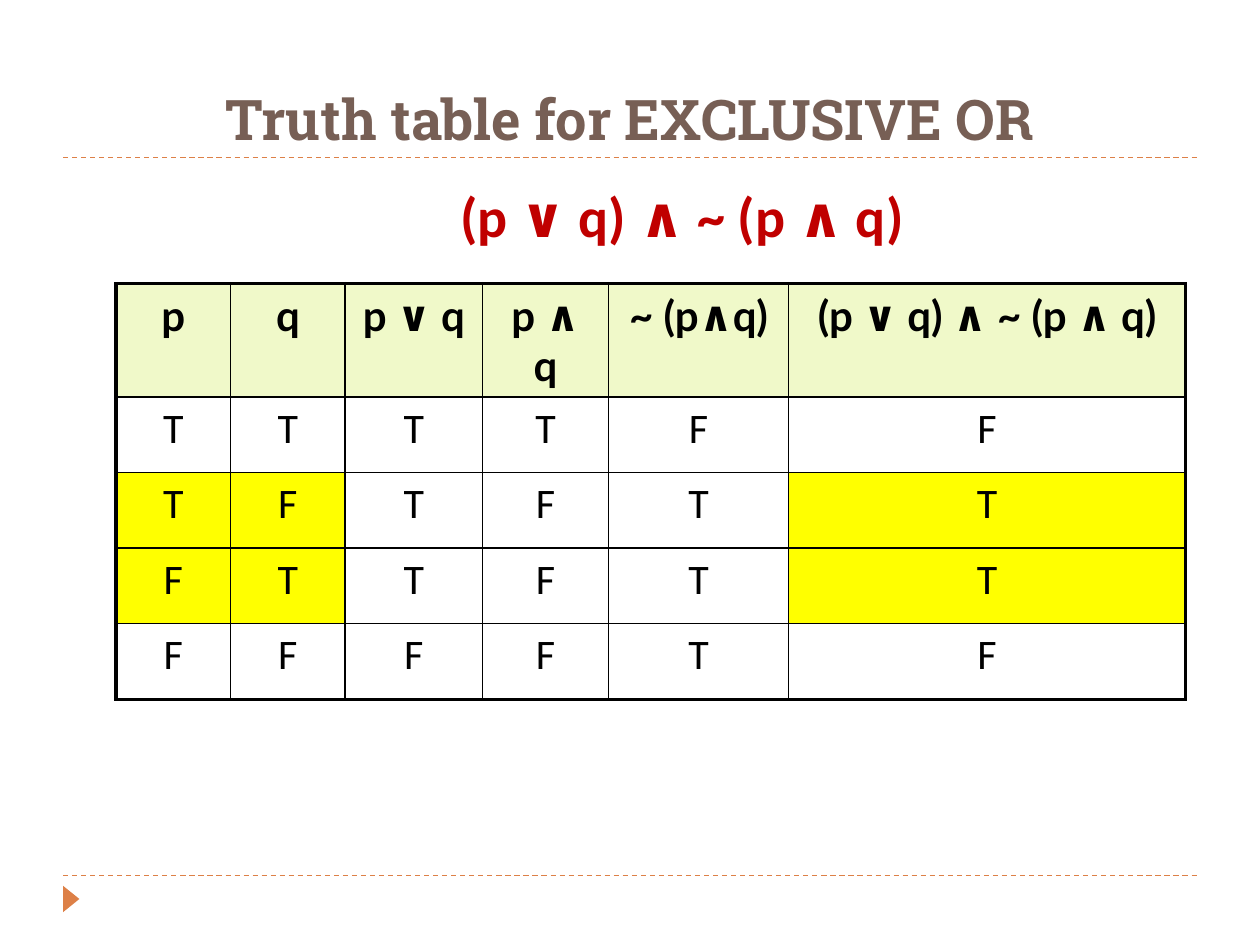
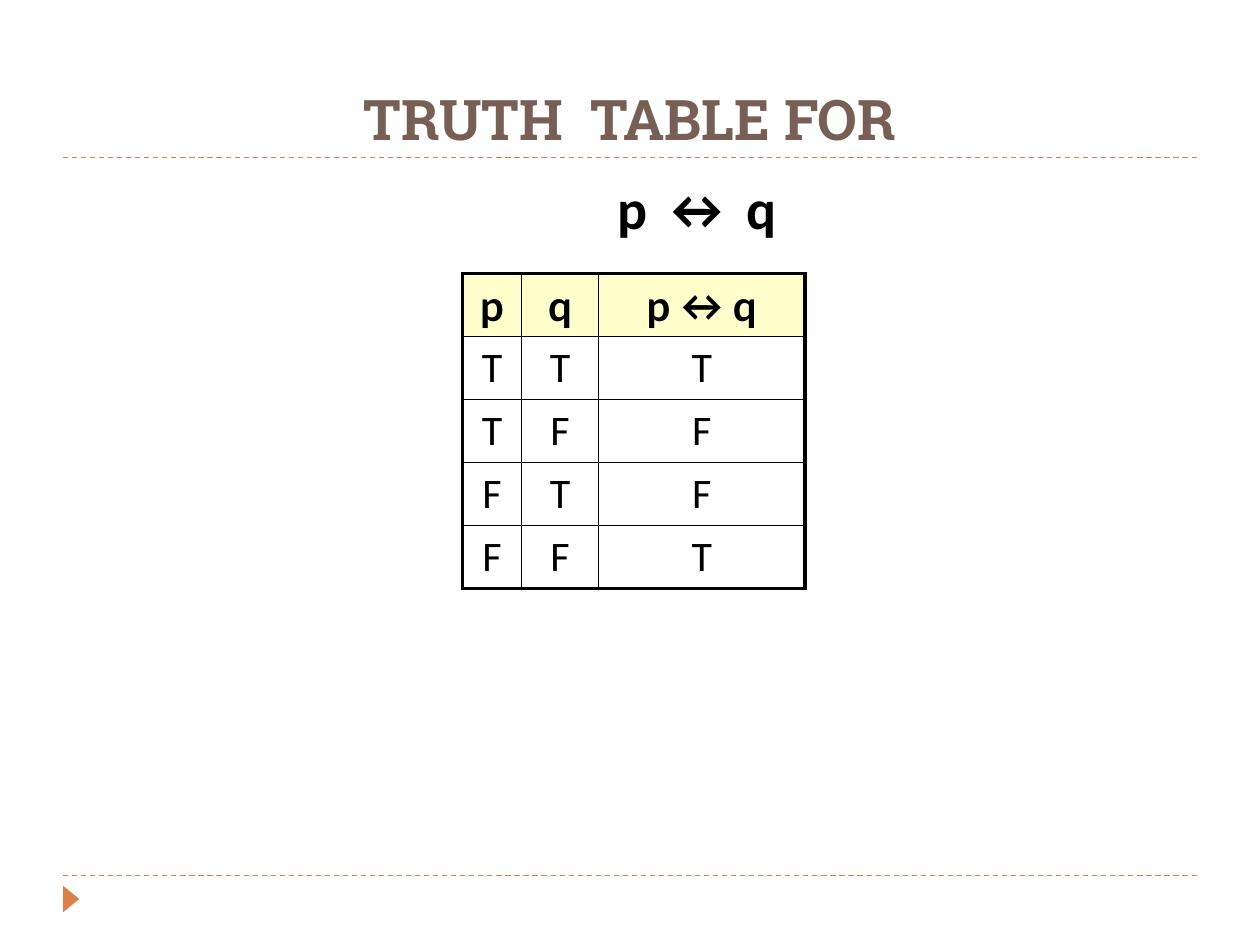
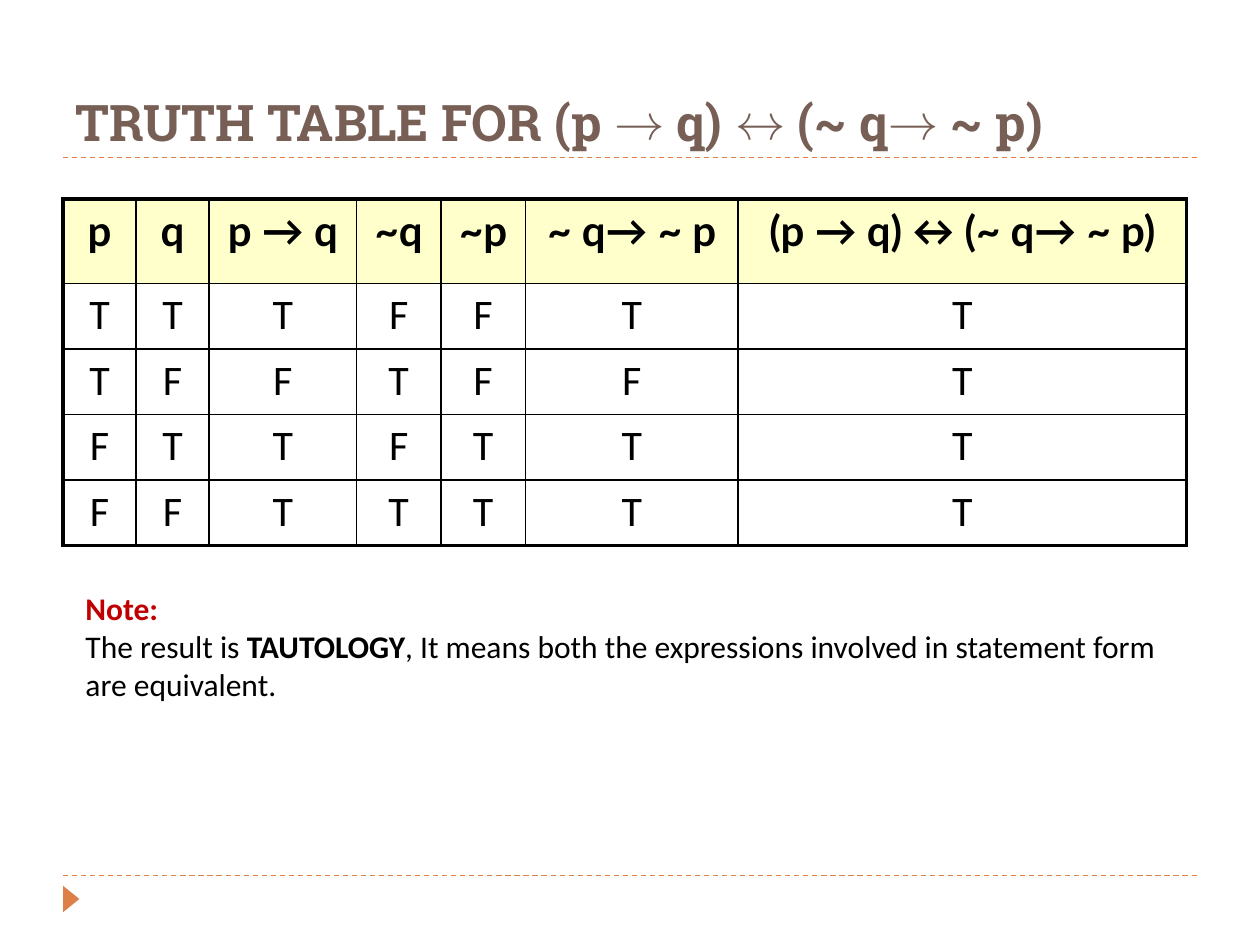
from lxml import etree
from pptx import Presentation
from pptx.dml.color import RGBColor
from pptx.enum.dml import MSO_LINE
from pptx.enum.shapes import MSO_CONNECTOR, MSO_SHAPE
from pptx.enum.text import MSO_ANCHOR, PP_ALIGN
from pptx.oxml.ns import qn
from pptx.util import Inches, Pt

LEFT, CENTER = PP_ALIGN.LEFT, PP_ALIGN.CENTER
TOP, MIDDLE, BOTTOM = MSO_ANCHOR.TOP, MSO_ANCHOR.MIDDLE, MSO_ANCHOR.BOTTOM
DASH = MSO_LINE.DASH
STRAIGHT = MSO_CONNECTOR.STRAIGHT
TRIANGLE = MSO_SHAPE.ISOSCELES_TRIANGLE

ORANGE, BROWN, RED, BLACK = "DD8047", "775F55", "C00000", "000000"
LIME, CREAM, YELLOW = "F0F9C9", "FFFFCC", "FFFF00"
THIN, THICK = 1, 2.25

TITLE = {"name": "Roboto Slab", "size": Pt(32), "bold": True, "color": BROWN}
FORMULA = {"name": "Calibri", "size": Pt(32), "bold": True, "color": BLACK}
HEADER = {"name": "Lato", "size": Pt(24), "bold": True, "color": BLACK}
VALUE = {"name": "Calibri", "size": Pt(24), "bold": False, "color": BLACK}
NOTE = {"name": "Calibri", "size": Pt(18), "bold": False, "color": BLACK}


def rgb(value):
    return RGBColor.from_string(value)


def add_span(para, text, style):
    span = para.add_run()
    span.text = text
    for name, value in style.items():
        if name == "color":
            span.font.color.rgb = rgb(value)
        else:
            setattr(span.font, name, value)


def add_text(page, place, paragraphs, align=LEFT, anchor=TOP):
    """Add a text box; each paragraph is a list of (text, style) spans."""
    box = page.shapes.add_textbox(*map(Inches, place))
    frame = box.text_frame
    frame.word_wrap = True
    frame.vertical_anchor = anchor
    for index, spans in enumerate(paragraphs):
        para = frame.add_paragraph() if index else frame.paragraphs[0]
        para.alignment = align
        for text, style in spans:
            add_span(para, text, style)
    return box


def add_dashed_line(page, y):
    line = page.shapes.add_connector(
        STRAIGHT, Inches(0.5), Inches(y), Inches(9.5), Inches(y))
    line.line.color.rgb = rgb(ORANGE)
    line.line.width = Pt(0.75)
    line.line.dash_style = DASH
    etree.SubElement(line._element.spPr, qn("a:effectLst"))


def add_page(deck, title, align=CENTER, size=32):
    """Add a slide with the shared rules, corner marker and title."""
    page = deck.slides.add_slide(deck.slide_layouts[6])
    for y in (6.95, 1.25):
        add_dashed_line(page, y)
    marker = page.shapes.add_shape(
        TRIANGLE, Inches(0.46), Inches(7.07), Inches(0.21), Inches(0.13))
    marker.rotation = 90
    marker.shadow.inherit = False
    marker.fill.solid()
    marker.fill.fore_color.rgb = rgb(ORANGE)
    marker.line.fill.background()
    add_text(page, (0.5, 0.17, 9, 1.08),
             [[(title, TITLE | {"size": Pt(size)})]], align, BOTTOM)
    return page


def set_borders(cell, widths):
    """Draw black borders; widths are points for left, right, top, bottom."""
    properties = cell._tc.get_or_add_tcPr()
    for side, width in zip("LRTB", widths):
        border = etree.SubElement(properties, qn(f"a:ln{side}"), w=str(Pt(width)))
        fill = etree.SubElement(border, qn("a:solidFill"))
        etree.SubElement(fill, qn("a:srgbClr"), val=BLACK)


def add_truth_table(page, left, top, widths, heights, headers, values,
                    header_fill, highlights=()):
    """Add a framed table; values holds one string of T and F per row."""
    rows = [headers, *values]
    frame = page.shapes.add_table(
        len(rows), len(widths), Inches(left), Inches(top),
        Inches(sum(widths)), Inches(sum(heights)))
    table = frame.table
    table.first_row = table.horz_banding = False
    for column, width in zip(table.columns, widths):
        column.width = Inches(width)
    for row, height in zip(table.rows, heights):
        row.height = Inches(height)

    last_row, last_column = len(rows) - 1, len(widths) - 1
    for r, texts in enumerate(rows):
        for c, text in enumerate(texts):
            cell = table.cell(r, c)
            outer = (c == 0, c == last_column, r == 0, r == last_row)
            set_borders(cell, [THICK if edge else THIN for edge in outer])
            color = header_fill if r == 0 else YELLOW if (r, c) in highlights else None
            if color:
                cell.fill.solid()
                cell.fill.fore_color.rgb = rgb(color)
            else:
                cell.fill.background()
            para = cell.text_frame.paragraphs[0]
            para.alignment = CENTER
            para.space_after = Pt(10)
            add_span(para, text, VALUE if r else HEADER)


def add_exclusive_or(deck):
    page = add_page(deck, "Truth table for EXCLUSIVE OR")
    formula = "(p ∨ q) ∧ ~ (p ∧ q)"
    add_truth_table(
        page, 0.92, 2.25, [0.91, 0.91, 1.09, 1, 1.43, 3.15], [0.6] * 5,
        ["p", "q", "p ∨ q", "p ∧ q", "~ (p∧q)", formula],
        ["TTTTFF", "TFTFTT", "FTTFTT", "FFFFTF"], LIME,
        highlights=[(r, c) for r in (2, 3) for c in (0, 1, 5)])
    add_text(page, (2.33, 1.33, 6.17, 0.75),
             [[(formula, FORMULA | {"color": RED})]], CENTER, MIDDLE)


def add_biconditional(deck):
    page = add_page(deck, "TRUTH  TABLE FOR")
    formula = "p ↔ q"
    box = add_text(page, (0.5, 1.33, 9, 5.4), [[(formula, FORMULA)]])
    box.text_frame.margin_left = Inches(4.4)
    add_truth_table(
        page, 3.67, 2.17, [0.47, 0.61, 1.64], [0.5] * 5,
        ["p", "q", formula], ["TTT", "TFF", "FTF", "FFT"], CREAM)


def add_tautology(deck):
    formula = "(p → q) ↔ (~ q→ ~ p)"
    page = add_page(deck, f"TRUTH TABLE FOR {formula}", LEFT, 28.8)
    add_truth_table(
        page, 0.5, 1.58, [0.58, 0.58, 1.17, 0.67, 0.67, 1.69, 3.56],
        [0.67] + [0.52] * 4,
        ["p", "q", "p → q", "~q", "~p", "~ q→ ~ p", formula],
        ["TTTFFTT", "TFFTFFT", "FTTFTTT", "FFTTTTT"], CREAM)
    strong = NOTE | {"bold": True}
    add_text(page, (0.58, 4.5, 8.92, 1.25), [
        [("Note:", strong | {"color": RED})],
        [("The result is ", NOTE), ("TAUTOLOGY", strong),
         (", It means both the expressions involved in statement form "
          "are equivalent.", NOTE)],
    ], anchor=MIDDLE)


def main():
    deck = Presentation()
    deck.slide_width, deck.slide_height = Inches(10), Inches(7.5)
    add_exclusive_or(deck)
    add_biconditional(deck)
    add_tautology(deck)
    deck.save("out.pptx")


if __name__ == "__main__":
    main()
